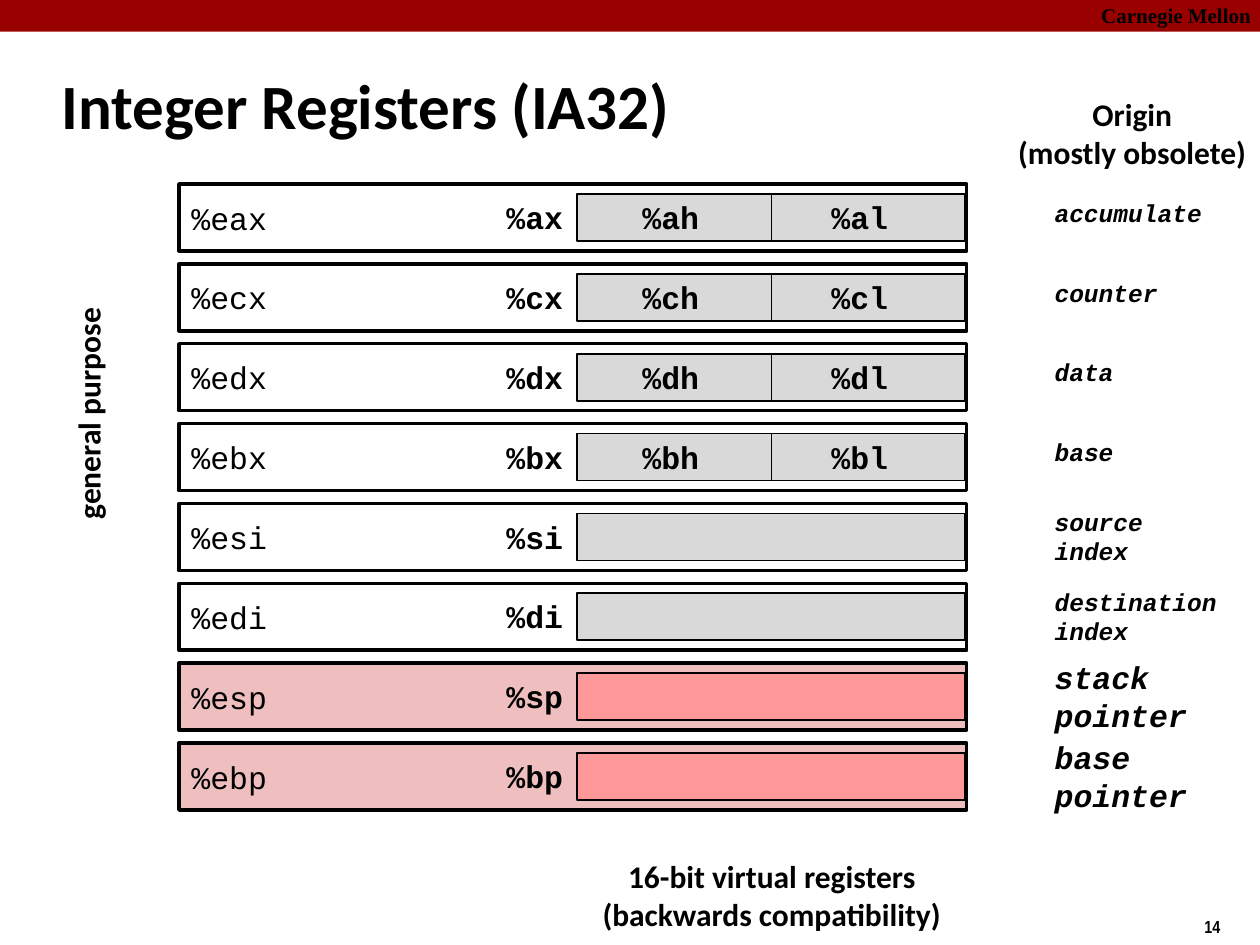
from lxml.etree import SubElement
from pptx import Presentation
from pptx.dml.color import RGBColor
from pptx.enum.shapes import MSO_CONNECTOR, MSO_SHAPE
from pptx.enum.text import MSO_ANCHOR, PP_ALIGN
from pptx.oxml.ns import qn
from pptx.util import Cm, Pt

BLACK = RGBColor(0x00, 0x00, 0x00)
WHITE = RGBColor(0xFF, 0xFF, 0xFF)
BAND_RED = RGBColor(0x99, 0x00, 0x00)
GREY = RGBColor(0xD9, 0xD9, 0xD9)
PALE_RED = RGBColor(0xEF, 0xBF, 0xBF)
SOFT_RED = RGBColor(0xFF, 0x99, 0x99)

SANS, MONO = "Calibri", "Courier New"
ROW_PITCH, ROW_HEIGHT = 1.61, 1.35

# 32-bit name, 16-bit name, high byte, low byte, origin lines
REGISTERS = [
    ("%eax", "%ax", "%ah", "%al", ["accumulate"]),
    ("%ecx", "%cx", "%ch", "%cl", ["counter"]),
    ("%edx", "%dx", "%dh", "%dl", ["data"]),
    ("%ebx", "%bx", "%bh", "%bl", ["base"]),
    ("%esi", "%si", None, None, ["source", "index"]),
    ("%edi", "%di", None, None, ["destination", "index"]),
    ("%esp", "%sp", None, None, ["stack", "pointer"]),
    ("%ebp", "%bp", None, None, ["base", "pointer"]),
]
STACK_REGISTERS = ("%esp", "%ebp")


def write(frame, lines, size, font, bold=True, italic=False, align=PP_ALIGN.LEFT):
    for index, line in enumerate(lines):
        paragraph = frame.paragraphs[0] if index == 0 else frame.add_paragraph()
        paragraph.alignment = align
        run = paragraph.add_run()
        run.text = line
        run.font.size = Pt(size)
        run.font.name = font
        run.font.bold = bold
        run.font.italic = italic
        run.font.color.rgb = BLACK


def add_label(slide, left, top, width, height, lines, size=18, font=SANS, **style):
    label = slide.shapes.add_textbox(Cm(left), Cm(top), Cm(width), Cm(height))
    label.text_frame.word_wrap = False
    write(label.text_frame, lines, size, font, **style)
    return label


def add_bar(slide, left, top, width, height, fill, line_width=None):
    bar = slide.shapes.add_shape(
        MSO_SHAPE.RECTANGLE, Cm(left), Cm(top), Cm(width), Cm(height))
    bar.shadow.inherit = False
    bar.fill.solid()
    bar.fill.fore_color.rgb = fill
    if line_width:
        bar.line.color.rgb = BLACK
        bar.line.width = Pt(line_width)
    else:
        bar.line.fill.background()
    return bar


def add_divider(slide, x, top, height):
    divider = slide.shapes.add_connector(
        MSO_CONNECTOR.STRAIGHT, Cm(x), Cm(top), Cm(x), Cm(top + height))
    divider.line.color.rgb = BLACK
    divider.line.width = Pt(1)
    SubElement(divider._element.spPr, qn("a:effectLst"))


def add_page_frame(slide, width, height):
    # Top band with the university name, and the page number
    add_bar(slide, 0, 0, width, 0.64, BAND_RED)
    add_label(slide, width - 3.45, -0.08, 3.63, 0.76, ["Carnegie Mellon"],
              size=12, font="Times New Roman")
    add_label(slide, width - 1.37, height - 0.71, 1.9, 0.69, ["14"],
              size=10, font="Arial Narrow")


def add_register(slide, left, top, width, register):
    name, word, high, low, origin = register
    is_stack = name in STACK_REGISTERS

    # Full 32-bit register
    full = add_bar(slide, left, top, width, ROW_HEIGHT,
                   PALE_RED if is_stack else WHITE, 2)
    full.text_frame.vertical_anchor = MSO_ANCHOR.MIDDLE
    write(full.text_frame, [name], 18, MONO, bold=False)

    # Lower 16 bits, split in two bytes where they have names
    half_left, half_top = left + 8.03, top + 0.2
    half_width, half_height = width - 8.06, 0.95
    add_bar(slide, half_left, half_top, half_width, half_height,
            SOFT_RED if is_stack else GREY, 1)
    parts = [(6.35, word)]
    if high:
        add_divider(slide, half_left + half_width / 2, half_top, half_height)
        parts += [(9.09, high), (12.9, low)]
    for offset, part in parts:
        add_label(slide, left + offset, top + 0.16, 1.65, 1.02, [part], font=MONO)

    # Origin of the name
    size = 18 if is_stack else 14
    origin_height = 0.25 + size * 0.042 * len(origin)
    origin_width = 0.51 + size * 0.0212 * max(map(len, origin))
    origin_middle = top + 0.48 + 0.09 * len(origin)
    add_label(slide, left + width + 1.52, origin_middle - origin_height / 2,
              origin_width, origin_height, origin, size=size, font=MONO, italic=True)


def add_register_diagram(slide, left, top, width):
    for index, register in enumerate(REGISTERS):
        add_register(slide, left, top + index * ROW_PITCH, width, register)

    # Captions around the rows
    add_label(slide, left + 8.28, top + 13.44, 7.34, 1.78,
              ["16-bit virtual registers", "(backwards compatibility)"],
              align=PP_ALIGN.CENTER)
    add_label(slide, left + 16.66, top - 1.91, 5.11, 1.78,
              ["Origin", "(mostly obsolete)"], align=PP_ALIGN.CENTER)
    purpose = add_label(slide, left - 4.22, top + 4.11, 4.78, 1.02,
                        ["general purpose"])
    purpose.rotation = 270


def main():
    deck = Presentation()
    deck.slide_width, deck.slide_height = Cm(25.4), Cm(19.05)
    slide = deck.slides.add_slide(deck.slide_layouts[6])
    add_page_frame(slide, 25.4, 19.05)
    add_label(slide, 0.99, 1.22, 21.08, 2.11, ["Integer Registers (IA32)"],
              size=36).text_frame.word_wrap = True
    add_register_diagram(slide, 3.61, 3.71, 15.88)
    deck.save("out.pptx")


if __name__ == "__main__":
    main()
